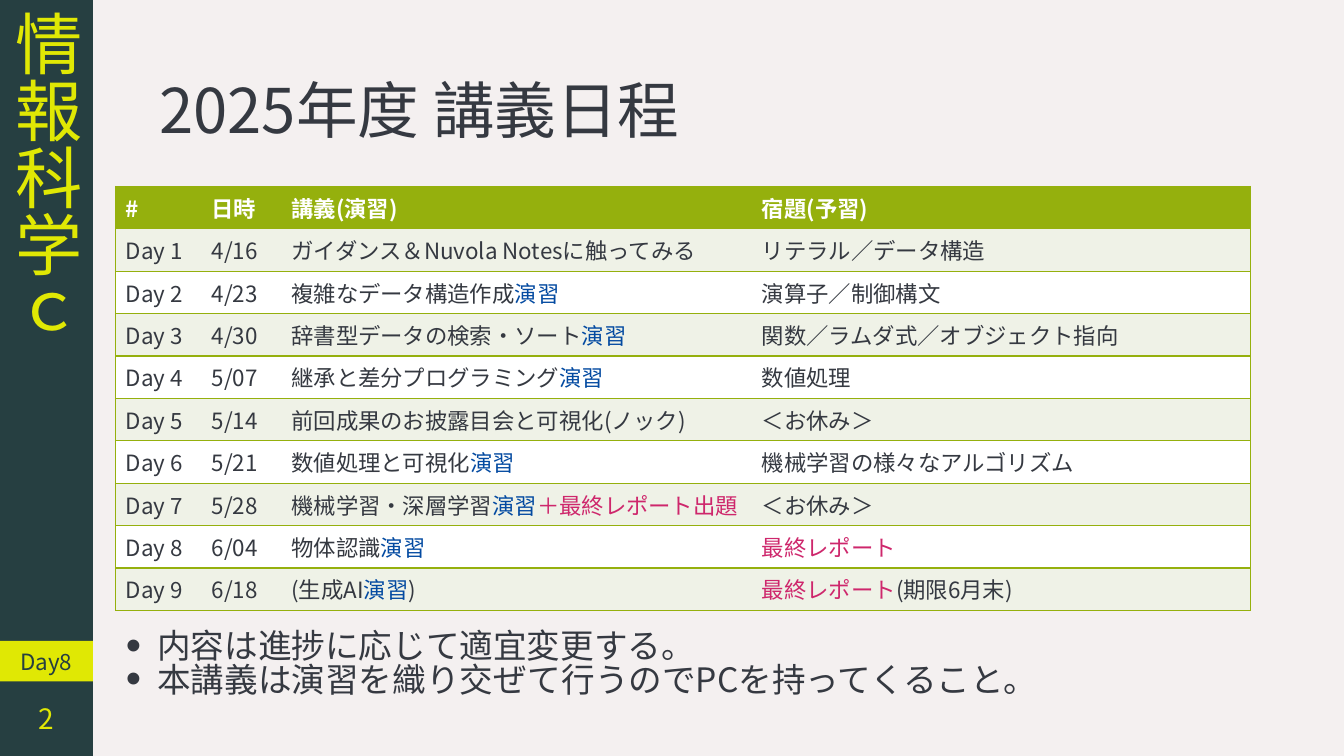
from pptx import Presentation
from pptx.dml.color import RGBColor
from pptx.enum.shapes import MSO_SHAPE
from pptx.enum.text import MSO_ANCHOR, MSO_AUTO_SIZE, PP_ALIGN
from pptx.oxml.ns import qn
from pptx.util import Cm, Pt
from lxml.etree import SubElement

FONT = "Noto Sans CJK JP"
INK, DARK, LIME, GREEN = "353941", "263F41", "E0E804", "95B00D"
WHITE, PALE, BLUE, PINK = "FFFFFF", "EFF2E7", "034AA1", "CE276C"
TASK = ("演習", BLUE)
REPORT = ("最終レポート", PINK)
REST = ["＜お休み＞"]

HEADS = ["#", "日時", "講義(演習)", "宿題(予習)"]
DAYS = [
    ("4/16", ["ガイダンス＆Nuvola Notesに触ってみる"], ["リテラル／データ構造"]),
    ("4/23", ["複雑なデータ構造作成", TASK], ["演算子／制御構文"]),
    ("4/30", ["辞書型データの検索・ソート", TASK], ["関数／ラムダ式／オブジェクト指向"]),
    ("5/07", ["継承と差分プログラミング", TASK], ["数値処理"]),
    ("5/14", ["前回成果のお披露目会と可視化(ノック)"], REST),
    ("5/21", ["数値処理と可視化", TASK], ["機械学習の様々なアルゴリズム"]),
    ("5/28", ["機械学習・深層学習", TASK, ("＋最終レポート出題", PINK)], REST),
    ("6/04", ["物体認識", TASK], [REPORT]),
    ("6/18", ["(生成AI", TASK, ")"], [REPORT, "(期限6月末)"]),
]
NOTES = ["内容は進捗に応じて適宜変更する。",
         "本講義は演習を織り交ぜて行うのでPCを持ってくること。"]


def color(code):
    return RGBColor.from_string(code)


class Page:
    def __init__(self, deck):
        self.slide = deck.slides.add_slide(deck.slide_layouts[1])
        self.style = {"name": FONT, "bold": False}
        self.paint(self.slide.background, "F4F0F0")

    def paint(self, item, code):
        item.fill.solid()
        item.fill.fore_color.rgb = color(code)

    def label(self, para, parts, size, ink, **extra):
        """Add runs; a part is a text or a (text, colour) pair."""
        for part in parts:
            text, tint = (part, ink) if isinstance(part, str) else part
            run = para.add_run()
            run.text = text
            for key, value in {**self.style, "size": Pt(size), **extra}.items():
                setattr(run.font, key, value)
            SubElement(run.font._element, qn("a:ea"), typeface=FONT)
            run.font.color.rgb = color(tint)

    def place(self, shape, box):
        for key, value in zip(("left", "top", "width", "height"), box):
            setattr(shape, key, Cm(value))

    def title(self, text, box):
        shape = self.slide.shapes.title
        self.place(shape, box)
        frame = shape.text_frame
        frame.auto_size = MSO_AUTO_SIZE.NONE
        frame.vertical_anchor = MSO_ANCHOR.MIDDLE
        para = frame.paragraphs[0]
        para.alignment = PP_ALIGN.LEFT
        para.line_spacing = 0.9
        self.label(para, [text], 44, INK)

    def bullets(self, lines, box):
        shape = self.slide.placeholders[1]
        self.place(shape, box)
        frame = shape.text_frame
        frame.auto_size = MSO_AUTO_SIZE.NONE
        for i, line in enumerate(lines):
            para = frame.add_paragraph() if i else frame.paragraphs[0]
            props = para._p.get_or_add_pPr()
            props.set("marL", str(Cm(0.79)))
            props.set("indent", str(Cm(-0.79)))
            SubElement(props, qn("a:buSzPct"), val="130000")
            SubElement(props, qn("a:buFont"), typeface="Arial")
            SubElement(props, qn("a:buChar"), char="•")
            para.space_before = Pt(0)
            para.line_spacing = 0.83
            self.label(para, [line], 24, INK)

    def block(self, text, box, size, ink, fill=None, vert="horz"):
        shape = self.slide.shapes.add_shape(MSO_SHAPE.RECTANGLE, *map(Cm, box))
        shape.shadow.inherit = False
        shape.line.fill.background()
        if fill:
            self.paint(shape, fill)
        else:
            shape.fill.background()
        frame = shape.text_frame
        frame.vertical_anchor = MSO_ANCHOR.MIDDLE
        frame._txBody.bodyPr.set("vert", vert)
        para = frame.paragraphs[0]
        para.alignment = PP_ALIGN.CENTER
        self.label(para, [text], size, ink)

    def edges(self, cell, sides):
        """Draw the given sides of a cell in green and clear the others."""
        props = cell._tc.get_or_add_tcPr()
        for side in "LRTB":
            line = SubElement(props, qn(f"a:ln{side}"), w=str(Pt(1)))
            if side in sides:
                fill = SubElement(line, qn("a:solidFill"))
                SubElement(fill, qn("a:srgbClr"), val=GREEN)
            else:
                SubElement(line, qn("a:noFill"))

    def table(self, rows, left, top, widths, height):
        box = left, top, sum(widths), height * len(rows)
        grid = self.slide.shapes.add_table(
            len(rows), len(widths), *map(Cm, box)).table
        for col, width in zip(grid.columns, widths):
            col.width = Cm(width)
        for r, row in enumerate(rows):
            fill = (PALE if r % 2 else WHITE) if r else GREEN
            for c, parts in enumerate(row):
                cell = grid.cell(r, c)
                self.edges(cell, "TB" + {0: "L", len(row) - 1: "R"}.get(c, ""))
                self.paint(cell, fill)
                self.label(cell.text_frame.paragraphs[0], parts, 16,
                           INK if r else WHITE, bold=r == 0)


def main():
    deck = Presentation()
    deck.slide_width, deck.slide_height = Cm(33.87), Cm(19.05)
    page = Page(deck)
    page.block("情報科学ｃ", (0, 0, 2.34, 19.05), 48, LIME, DARK, "eaVert")
    page.title("2025年度 講義日程", (3.76, 1.02, 27.76, 3.68))
    rows = [[[head] for head in HEADS]]
    rows += [[[f"Day {n}"], [date], work, home]
             for n, (date, work, home) in enumerate(DAYS, 1)]
    page.table(rows, 2.92, 4.7, (2.16, 2.01, 11.86, 12.57), 1.03)
    page.block("Day8", (0, 16.15, 2.34, 1.02), 16, DARK, LIME)
    page.block("2", (0, 17.17, 2.34, 1.88), 20, LIME)
    page.bullets(NOTES, (2.92, 15.8, 29.95, 2.31))
    deck.save("out.pptx")


if __name__ == "__main__":
    main()
